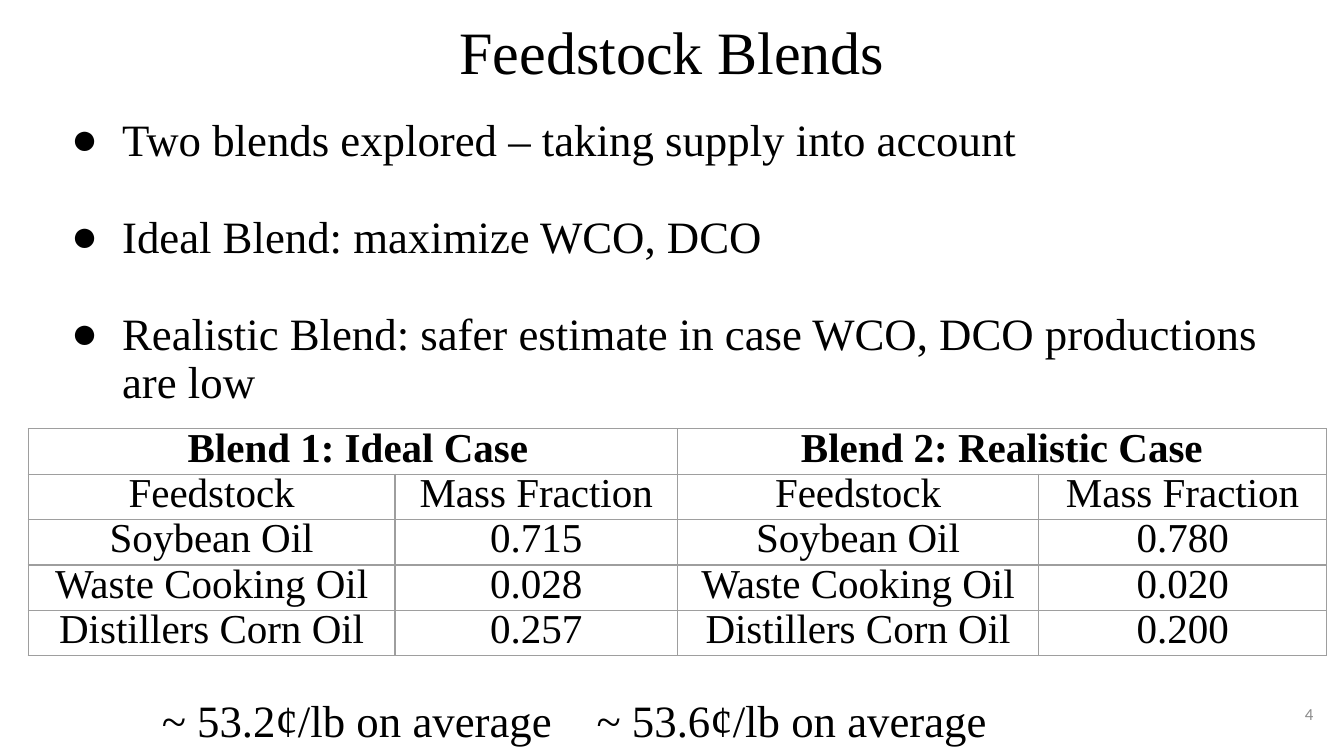
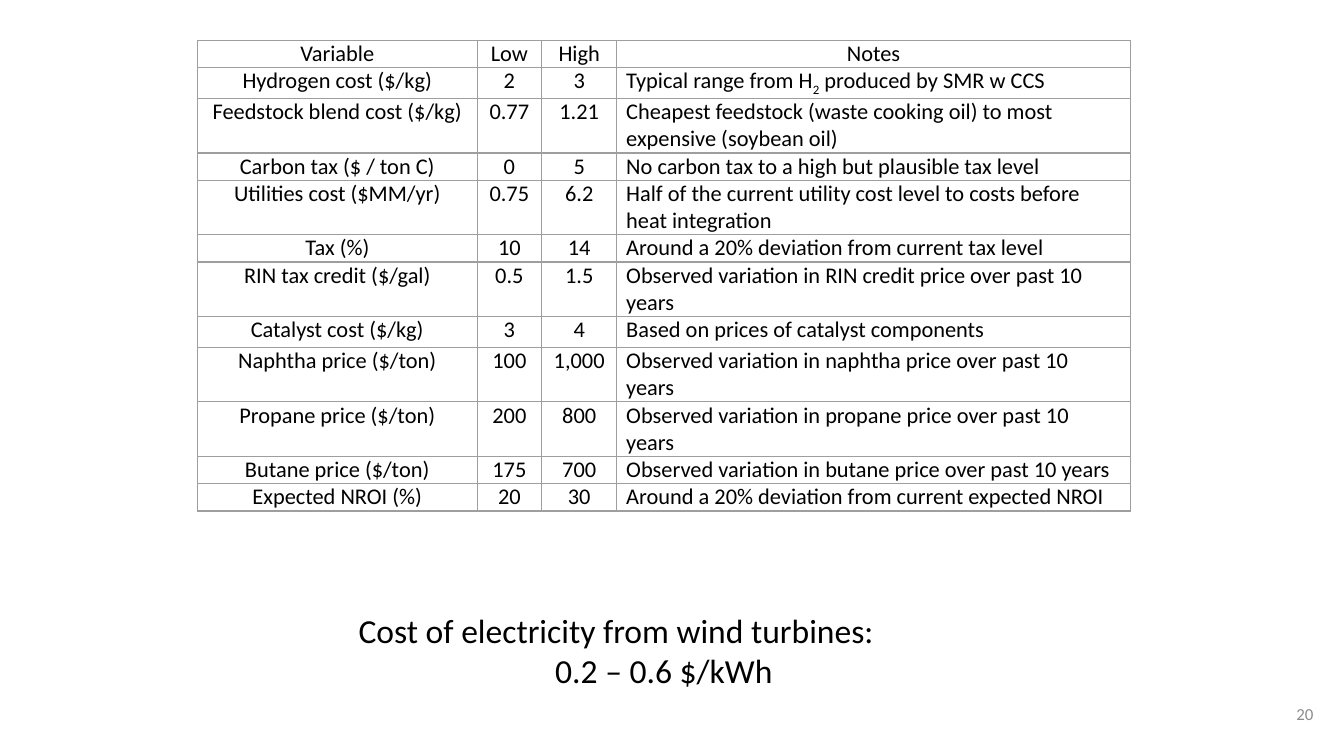
from lxml import etree
from pptx import Presentation
from pptx.dml.color import RGBColor
from pptx.enum.text import MSO_ANCHOR, PP_ALIGN
from pptx.oxml.ns import qn
from pptx.util import Inches, Pt

LEFT, CENTER, RIGHT = PP_ALIGN.LEFT, PP_ALIGN.CENTER, PP_ALIGN.RIGHT
TOP, MIDDLE = MSO_ANCHOR.TOP, MSO_ANCHOR.MIDDLE
TITLE_ONLY, BLANK = 5, 6
SERIF, SANS = "Times New Roman", "Calibri"
COLORS = {"text": "000000", "number": "8C8C8C", "border": "9E9E9E"}
COLUMNS = 100

BULLETS = [
    "Two blends explored – taking supply into account",
    "Ideal Blend: maximize WCO, DCO",
    "Realistic Blend: safer estimate in case WCO, DCO productions are low",
]
AVERAGES = "~ 53.2¢/lb on average\t~ 53.6¢/lb on average"
BLENDS = [
    [" Blend 1: Ideal Case", "", "Blend 2: Realistic Case", ""],
    ["Feedstock", "Mass Fraction"] * 2,
    ["Soybean Oil", "0.715", "Soybean Oil", "0.780"],
    ["Waste Cooking Oil", "0.028", "Waste Cooking Oil", "0.020"],
    ["Distillers Corn Oil", "0.257", "Distillers Corn Oil", "0.200"],
]
VARIABLES = [
    ["Variable", "Low", "High", "Notes"],
    ["Hydrogen cost ($/kg)", "2", "3", "Typical range from H|2| produced by SMR w CCS"],
    ["Feedstock blend cost ($/kg)", "0.77", "1.21",
     "Cheapest feedstock (waste cooking oil) to most expensive (soybean oil)"],
    ["Carbon tax ($ / ton C)", "0", "5", "No carbon tax to a high but plausible tax level"],
    ["Utilities cost ($MM/yr)", "0.75", "6.2",
     "Half of the current utility cost level to costs before heat integration"],
    ["Tax (%)", "10", "14", "Around a 20% deviation from current tax level"],
    ["RIN tax credit ($/gal)", "0.5", "1.5",
     "Observed variation in RIN credit price over past 10 years"],
    ["Catalyst cost ($/kg)", "3", "4", "Based on prices of catalyst components"],
    ["Naphtha price ($/ton)", "100", "1,000",
     "Observed variation in naphtha price over past 10 years"],
    ["Propane price ($/ton)", "200", "800",
     "Observed variation in propane price over past 10 years"],
    ["Butane price ($/ton)", "175", "700",
     "Observed variation in butane price over past 10 years"],
    ["Expected NROI (%)", "20", "30", "Around a 20% deviation from current expected NROI"],
]
VARIABLE_LINES = [1, 1.13, 2, 1, 2, 1, 2, 1.13, 2, 2, 1, 1]


class Deck:
    def __init__(self):
        self.prs = Presentation()
        self.prs.slide_width = Inches(10)
        self.prs.slide_height = self.prs.slide_width * 9 // 16
        self.unit = self.prs.slide_width / COLUMNS
        self.s = None
        self.font = SANS

    def grid(self, *cells):
        return [round(c * self.unit) for c in cells]

    def slide(self, layout, font):
        self.s = self.prs.slides.add_slide(self.prs.slide_layouts[layout])
        self.font = font

    def number(self, text):
        self.text([text], (92.7, 51, 6, 4.3), 9, RIGHT, MIDDLE,
                  color="number", font=SANS)

    def style(self, p, size, align=LEFT, color="text", bold=False, font=None):
        p.alignment = align
        p.font.name = font or self.font
        p.font.size = Pt(size)
        p.font.bold = bold
        p.font.color.rgb = RGBColor.from_string(COLORS[color])

    def title(self, text, box, size):
        sp = self.s.shapes.title
        sp.left, sp.top, sp.width, sp.height = self.grid(*box)
        tf = sp.text_frame
        tf.text = text
        tf.vertical_anchor = TOP
        tf.margin_top, tf.margin_bottom = self.grid(1, 1)
        p = tf.paragraphs[0]
        p.line_spacing = 0.9
        self.style(p, size, CENTER)

    def text(self, lines, box, size, align=LEFT, anchor=TOP, pad=1, **style):
        sp = self.s.shapes.add_textbox(*self.grid(*box))
        tf = sp.text_frame
        tf.word_wrap = True
        tf.vertical_anchor = anchor
        tf.margin_top, tf.margin_bottom = self.grid(pad, pad)
        tf.text = "\n".join(lines)
        for p in tf.paragraphs:
            self.style(p, size, align, **style)
        return tf

    def indent(self, p, margin, first):
        margin, first = self.grid(margin, first)
        pPr = p._p.get_or_add_pPr()
        pPr.set("marL", str(margin))
        pPr.set("indent", str(first))
        return pPr.find(qn("a:defRPr"))

    def bullet(self, p):
        defRPr = self.indent(p, 4.7, -3.8)
        color = etree.Element(qn("a:buClr"))
        etree.SubElement(color, qn("a:srgbClr"), val=COLORS["text"])
        defRPr.addprevious(color)
        defRPr.addprevious(etree.Element(qn("a:buFont"), typeface=self.font))
        defRPr.addprevious(etree.Element(qn("a:buChar"), char="●"))

    def tabbed(self, p, first, stop):
        defRPr = self.indent(p, 0, first)
        tabs = etree.Element(qn("a:tabLst"))
        etree.SubElement(tabs, qn("a:tab"), pos=str(self.grid(stop)[0]), algn="l")
        defRPr.addprevious(tabs)

    def body(self, bullets, closing, box, size, pitch):
        tf = self.text(bullets + [closing], box, size)
        *points, last = tf.paragraphs
        for p in tf.paragraphs:
            p.line_spacing = 0.9
            p.space_before = Pt(pitch)
        for p in points:
            self.bullet(p)
        points[0].space_before = Pt(0)
        last.space_before = Pt(6 * pitch)
        self.tabbed(last, 7.65, 55.8)

    def border(self, cell):
        tcPr = cell._tc.get_or_add_tcPr()
        for i, side in enumerate(("lnL", "lnR", "lnT", "lnB")):
            ln = etree.Element(qn("a:" + side), w=str(Pt(0.75)))
            fill = etree.SubElement(ln, qn("a:solidFill"))
            etree.SubElement(fill, qn("a:srgbClr"), val=COLORS["border"])
            tcPr.insert(i, ln)

    def cell(self, cell, text, size, align, bold, spacing):
        cell.fill.background()
        cell.margin_left, cell.margin_right = self.grid(0.7, 0.7)
        cell.margin_top = cell.margin_bottom = 0
        p = cell.text_frame.paragraphs[0]
        p.line_spacing = spacing
        for i, part in enumerate(text.split("|")):
            r = p.add_run()
            r.text = part
            if i % 2:
                r.font._element.set("baseline", "-25000")
        self.style(p, size, align, bold=bold)
        self.border(cell)

    def table(self, rows, left, top, cols, heights, size,
              bold_header=False, notes_col=None, spacing=None):
        frame = self.s.shapes.add_table(
            len(rows), len(cols), *self.grid(left, top, sum(cols), sum(heights)))
        table = frame.table
        table.first_row = table.horz_banding = False
        for column, width in zip(table.columns, self.grid(*cols)):
            column.width = width
        for row, height in zip(table.rows, self.grid(*heights)):
            row.height = height
        for i, row in enumerate(rows):
            for j, text in enumerate(row):
                align = LEFT if i and j == notes_col else CENTER
                bold = bold_header and i == 0
                self.cell(table.cell(i, j), text, size, align, bold, spacing)
        return table


def feedstock_blends(deck):
    deck.slide(TITLE_ONLY, SERIF)
    deck.title("Feedstock Blends", (3.4, 0.7, 93.2, 6.3), 32.2)
    deck.body(BULLETS, AVERAGES, (3.4, 7.8, 93.2, 50.6), 24, 25.9)
    deck.number("4")
    table = deck.table(BLENDS, 2.1, 31.9, [27.3, 21, 26.9, 21.4],
                       [3.38] * len(BLENDS), 22, bold_header=True, spacing=0.92)
    for j in (0, 2):
        table.cell(0, j).merge(table.cell(0, j + 1))


def sensitivity_ranges(deck):
    deck.slide(BLANK, SANS)
    deck.number("20")
    deck.table(VARIABLES, 14.7, 3, [20.8, 4.8, 5.6, 38.2],
               [2.03 * lines for lines in VARIABLE_LINES], 12, notes_col=3)
    tf = deck.text(["Cost of electricity from wind turbines:", "0.2 – 0.6 $/kWh"],
                   (25.7, 44.9, 47.4, 7.1), 18, pad=0.5)
    tf.paragraphs[1].alignment = CENTER


def main():
    deck = Deck()
    feedstock_blends(deck)
    sensitivity_ranges(deck)
    deck.prs.save("out.pptx")


if __name__ == "__main__":
    main()
